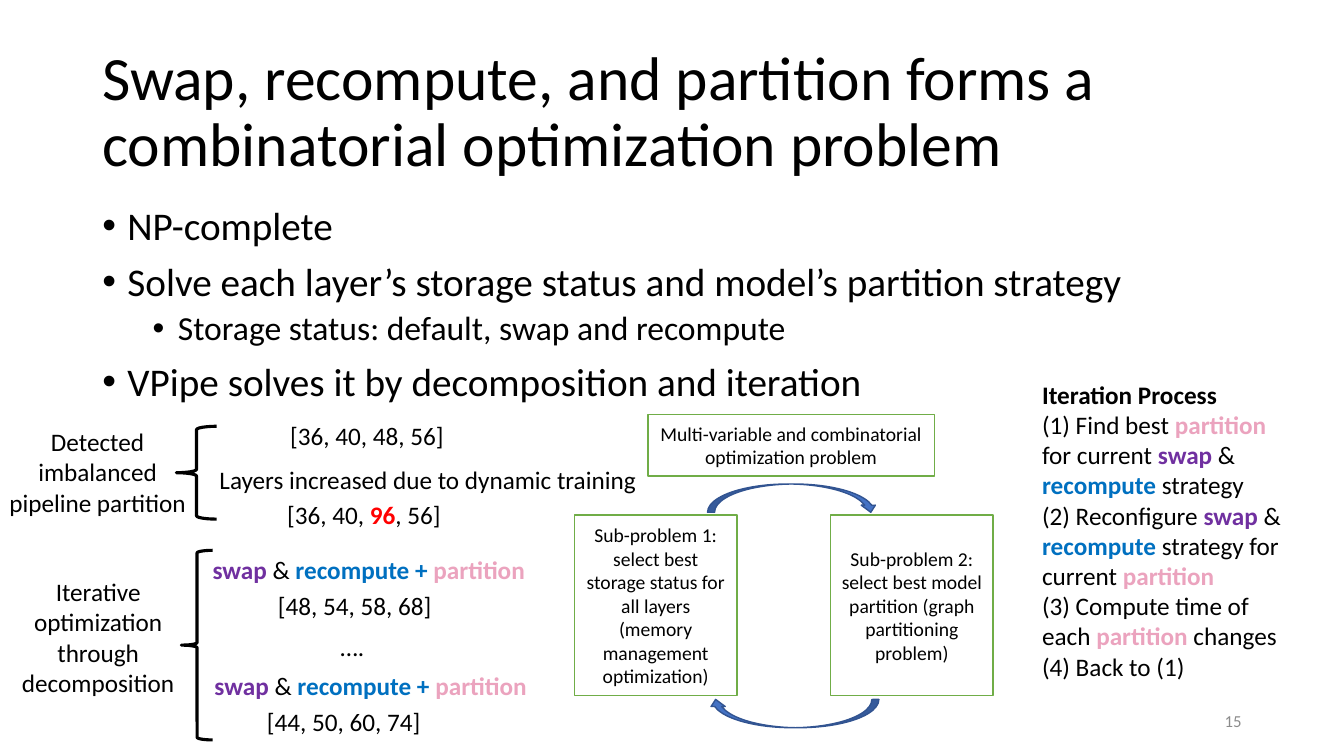
from lxml.etree import SubElement as Sub
from pptx import Presentation
from pptx.dml.color import RGBColor as Rgb
from pptx.enum.shapes import MSO_SHAPE as Kind
from pptx.enum.text import MSO_ANCHOR as Anchor, PP_ALIGN as Align
from pptx.oxml.ns import qn
from pptx.util import Pt

INK = {"swap": "7030A0", "recompute": "0070C0", "recompute +": "0070C0",
       "partition": "EBA3BE", "96": "FF0000", "Iteration Process": "000000"}
STEPS = "swap |& |recompute + |partition"


def color(code):
    return Rgb.from_string(code)


def bullet(para, level):
    props = para._p.get_or_add_pPr()
    props.set("marL", str(Pt(18 + 36 * level)))
    props.set("indent", str(Pt(-18)))
    Sub(props, qn("a:buFont")).set("typeface", "Arial")
    Sub(props, qn("a:buChar")).set("char", "•")


def write(frame, text, size=18, ink="000000", align=Align.LEFT,
          anchor=Anchor.TOP, levels=None, line=None):
    frame.word_wrap = True
    frame.vertical_anchor = anchor
    for i, row in enumerate(text.split("\n")):
        para = frame.paragraphs[0] if i == 0 else frame.add_paragraph()
        para.alignment = align
        if line:
            para.line_spacing = line
        scale = size
        if levels:
            if i:
                para.space_before = Pt(5 if levels[i] else 10)
            bullet(para, levels[i])
            scale = size - 4 * levels[i]
        for part in row.split("|"):
            run = para.add_run()
            run.text = part
            font = run.font
            font.name, font.size = "Calibri", Pt(scale)
            font.bold = part.strip() in INK
            font.color.rgb = color(INK.get(part.strip(), ink))


def label(slide, box, text, **style):
    area = slide.shapes.add_textbox(*map(Pt, box))
    write(area.text_frame, text, **style)


def shape(slide, kind, box, line, width=1, fill=None):
    item = slide.shapes.add_shape(kind, *map(Pt, box))
    item.shadow.inherit = False
    item.line.color.rgb = color(line)
    item.line.width = Pt(width)
    if fill:
        item.fill.solid()
        item.fill.fore_color.rgb = color(fill)
    else:
        item.fill.background()
    return item


def header(slide, x, y, w):
    label(slide, (x, y, w, 104.4),
          "Swap, recompute, and partition forms a combinatorial optimization problem",
          size=44, line=0.9, anchor=Anchor.MIDDLE)


def points(slide, x, y, w):
    label(slide, (x, y, w, 342.7),
          "NP-complete\n"
          "Solve each layer’s storage status and model’s partition strategy\n"
          "Storage status: default, swap and recompute\n"
          "VPipe solves it by decomposition and iteration",
          size=28, levels=(0, 0, 1, 0), line=0.9)


def group(slide, x, y, name, top, brace, rows):
    label(slide, (x, y + top, 146, 73), name, align=Align.CENTER)
    left, drop, wide, high = brace
    shape(slide, Kind.LEFT_BRACE, (x + left, y + drop, wide, high), "000000", 2.25)
    for dx, dy, w, text in rows:
        label(slide, (x + dx, y + dy, w, 29), text)


def cycle(slide, x, y, w):
    wide, high, drop = 116, 129, 72
    boxes = [
        (52.5, 0, 204.5, 44, "Multi-variable and combinatorial optimization problem"),
        (0, drop, wide, high, "Sub-problem 1: select best storage status for all "
         "layers (memory management optimization)"),
        (w - wide, drop, wide, high, "Sub-problem 2: select best model partition "
         "(graph partitioning problem)"),
    ]
    for dx, dy, bw, bh, text in boxes:
        item = shape(slide, Kind.RECTANGLE, (x + dx, y + dy, bw, bh), "70AD47", fill="FFFFFF")
        write(item.text_frame, text, size=14, align=Align.CENTER, anchor=Anchor.MIDDLE)
    for dx, dy, turn in ((95, 49.7, 0), (95.7, 203.6, 180)):
        arrow = shape(slide, Kind.CURVED_DOWN_ARROW, (x + dx, y + dy, 121.7, 20.2),
                      "325491", fill="4472C4")
        arrow.rotation = turn


def process(slide, x, y, w):
    label(slide, (x, y, w, 225.4),
          "Iteration Process\n"
          "(1) Find best |partition| for current |swap |& |recompute |strategy\n"
          "(2) Reconfigure |swap |& |recompute |strategy for current |partition\n"
          "(3) Compute time of each |partition| changes\n"
          "(4) Back to (1)")


def main():
    deck = Presentation()
    deck.slide_width, deck.slide_height = Pt(960), Pt(540)
    slide = deck.slides.add_slide(deck.slide_layouts[6])
    header(slide, 66, 28.8, 828)
    points(slide, 66, 143.8, 828)
    group(slide, -3.3, 296, "Detected imbalanced pipeline partition", 5,
          (129.3, 8.5, 28.8, 66.3),
          [(203.5, 0.6, 149, "[36, 40, 48, 56]"),
           (153, 32.3, 316, "Layers increased due to dynamic training"),
           (201.3, 56.8, 135.4, "[36, 40, |96|, 56]")])
    group(slide, -2.9, 392, "Iterative optimization through decomposition", 16.2,
          (132.5, 1.1, 22.3, 135.4),
          [(147.6, 0.4, 241.2, STEPS),
           (194.4, 26.3, 149, "[48, 54, 58, 68]"),
           (239, 55.1, 40.3, "…."),
           (149, 83.2, 241.2, STEPS),
           (186.5, 109.1, 149, "[44, 50, 60, 74]")])
    cycle(slide, 410.4, 296, 299)
    process(slide, 737.3, 267.1, 191.5)
    label(slide, (678, 500.5, 216, 28.8), "15", size=12, ink="8C8C8C",
          align=Align.RIGHT, anchor=Anchor.MIDDLE)
    deck.save("out.pptx")


if __name__ == "__main__":
    main()
